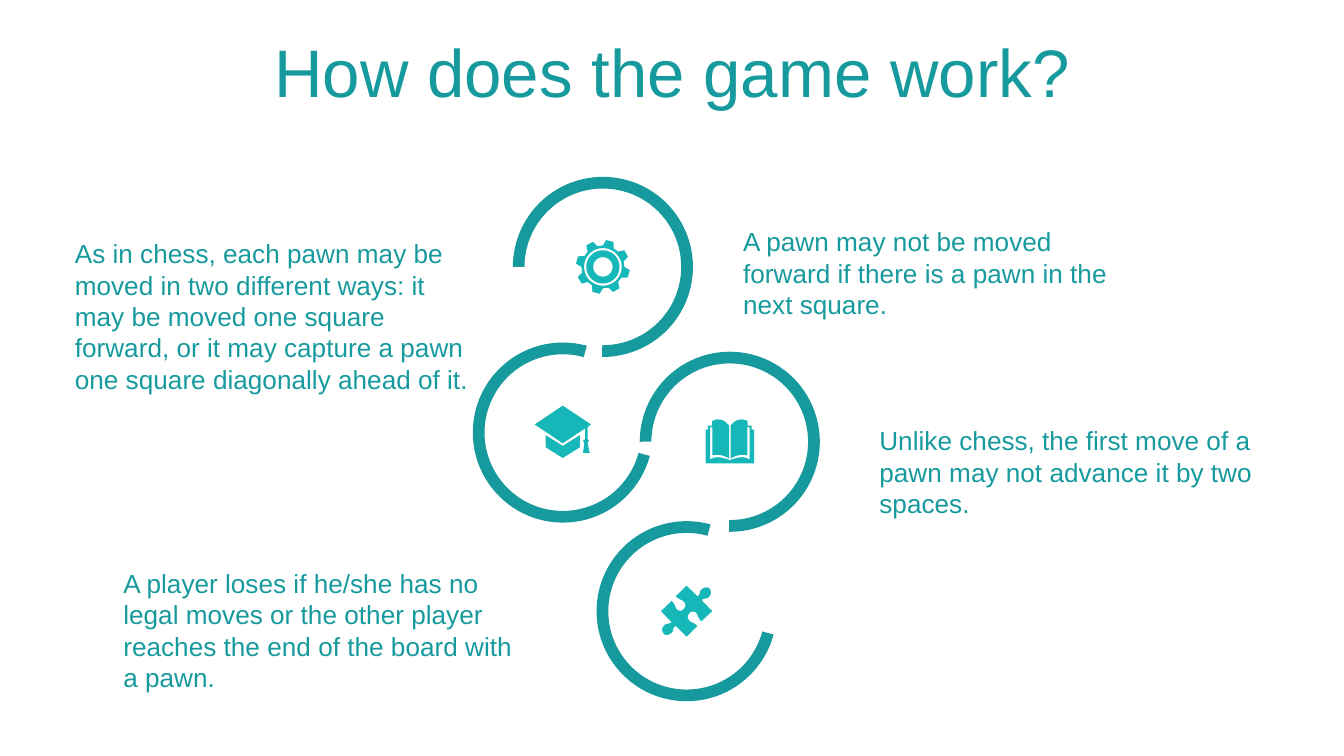
from math import cos, radians, sin

from pptx import Presentation
from pptx.dml.color import RGBColor
from pptx.enum.shapes import MSO_SHAPE
from pptx.enum.text import MSO_ANCHOR, MSO_AUTO_SIZE, PP_ALIGN
from pptx.util import Pt

ARC = MSO_SHAPE.BLOCK_ARC
MIDDLE, TOP = MSO_ANCHOR.MIDDLE, MSO_ANCHOR.TOP
CENTER, LEFT = PP_ALIGN.CENTER, PP_ALIGN.LEFT
GROW, FIXED = MSO_AUTO_SIZE.SHAPE_TO_FIT_TEXT, MSO_AUTO_SIZE.NONE

FONT = "Arial"
TEAL, AQUA = "179A9D", "16B7B8"
RING = 96.5

# Outlines in points around the icon centre: pairs are corners, sixes are curves.
BOARD = [(0, -14.4), (15.1, -4.3), (13.3, -2.9), (13.3, 3.6), (14, 4.3),
         (13.3, 5.8), (14.4, 11), (10.8, 11), (11.5, 5.8), (10.9, 4.3),
         (12, 3.6), (12, -2.2), (0, 5.8), (-15.1, -4.3)]
CROWN = [(-9.2, 1.4), (0, 7.2), (9.2, 1.4), (9.2, 7.9), (0, 13.7), (-9.2, 7.9)]
PAGE = [(0, 11.5), (13, 11.5), (13, -6.5), (11.7, -6.5), (11.7, -8.6),
        (9.5, -8.6), (9.5, -11.2), (8.6, -11.5, 7.2, -12, 6.5, -12),
        (3.6, -12, 2.2, -10.8, 0.4, -8.6), (0.4, 9),
        (2.9, 7.2, 6.5, 6.5, 9.4, 7.2), (9.4, -7.9), (10.6, -7.9),
        (10.6, 9.4), (6.5, 7.2, 4.3, 8.6, 0.4, 9.6), (0, 10.1)]
PIECE = [(8, -6), (13.7, 0), (8, 5.4), (5.8, 3.6, 6.5, 2.2, 5, 0.7),
         (3.6, 0, 2.2, 0, 1.4, 1.4), (0.7, 2.2, 0, 3.6, 1.4, 5),
         (2.9, 6.5, 3.6, 5.8, 5.8, 7.9), (0, 13.7), (-5.8, 7.9),
         (-7.9, 9.4, -6.5, 10.1, -7.9, 11.5),
         (-9.4, 13, -11.5, 13, -12.2, 12.2),
         (-13, 10.8, -13.7, 9.4, -12.2, 7.9), (-11.5, 6.5, -10, 7.2, -8, 6)]

NOTES = [
    (33, 123.8, 92, ["As in chess, each pawn may be",
                     "moved in two different ways: it may be moved one square "
                     "forward, or it may capture a pawn one square diagonally "
                     "ahead of it."]),
    (391, 117.4, 58, ["A pawn may not be moved forward if there is a pawn in "
                      "the next square."]),
    (464, 224, 58, ["Unlike chess, the first move of a pawn may not advance "
                    "it by two spaces."]),
    (59, 300.4, 75, ["A player loses if he/she has no legal moves or the other "
                     "player reaches the end of the board with a pawn."]),
]


def color(code):
    return RGBColor.from_string(code)


def write(shape, lines, size=14, align=LEFT, anchor=TOP, fit=GROW):
    frame = shape.text_frame
    frame.word_wrap = True
    frame.auto_size = fit
    frame.vertical_anchor = anchor
    frame.text = "\n".join(lines)
    for para in frame.paragraphs:
        para.alignment = align
        font = para.runs[0].font
        font.name, font.size = FONT, Pt(size)
        font.color.rgb = color(TEAL)


def place(shape, left, top, width, height):
    shape.left, shape.top = Pt(left), Pt(top)
    shape.width, shape.height = Pt(width), Pt(height)


def paint(shape, code):
    shape.shadow.inherit = False
    shape.fill.solid()
    shape.fill.fore_color.rgb = color(code)
    shape.line.fill.background()


def polar(radius, angle):
    """Point at an angle in degrees, clockwise from the top."""
    turn = radians(angle)
    return radius * sin(turn), -radius * cos(turn)


def circle(radius):
    return [polar(radius, angle) for angle in range(0, 360, 6)]


def trace(path, steps=6):
    """Turn corners and Bezier curves into a list of points."""
    points = []
    for part in path:
        if len(part) == 2:
            points.append(part)
            continue
        knots = [points[-1], part[:2], part[2:4], part[4:]]
        for step in range(1, steps + 1):
            t = step / steps
            parts = ((1 - t) ** 3, 3 * t * (1 - t) ** 2,
                     3 * t * t * (1 - t), t ** 3)
            points.append(tuple(sum(w * k[axis] for w, k in zip(parts, knots))
                                for axis in (0, 1)))
    return points


def gear():
    teeth = [polar(radius, 15 + 45 * tooth + turn) for tooth in range(8)
             for radius, turn in ((11.5, -15), (14.5, -8), (14.5, 8), (11.5, 15))]
    return [teeth, circle(10.1), circle(8.9), circle(5.2)]


def book():
    half = trace(PAGE)
    return [half + [(-x, y) for x, y in reversed(half)]]


def puzzle():
    half = trace(PIECE)
    return [half + [(-x, -y) for x, y in half]]


def add_ring(slide, x, y, turn):
    ring = slide.shapes.add_shape(ARC, Pt(x - RING / 2), Pt(y - RING / 2),
                                  Pt(RING), Pt(RING))
    ring.rotation = turn
    for index, value in enumerate((108, 54.26, 0.065)):
        ring.adjustments[index] = value
    paint(ring, TEAL)


def add_icon(slide, x, y, loops):
    pen = None
    for loop in loops:
        first, *rest = [(Pt(x + dx), Pt(y + dy)) for dx, dy in loop]
        if pen is None:
            pen = slide.shapes.build_freeform(*first)
        else:
            pen.move_to(*first)
        pen.add_line_segments(rest, close=True)
    paint(pen.convert_to_shape(), AQUA)


def add_note(slide, left, top, height, lines):
    box = slide.shapes.add_textbox(Pt(left), Pt(top), Pt(229.7), Pt(height))
    write(box, lines)


def main():
    deck = Presentation()
    deck.slide_width, deck.slide_height = Pt(720), Pt(405)
    slide = deck.slides.add_slide(deck.slide_layouts[5])

    title = slide.shapes.title
    place(title, 0, 15, 720, 45.4)
    write(title, ["How does the game work?"], size=36, align=CENTER,
          anchor=MIDDLE, fit=FIXED)

    stops = [(323, 143, 0, gear()), (301.5, 231.7, 195, [BOARD, CROWN]),
             (391, 236.7, 0, book()), (367.8, 327.4, 195, puzzle())]
    for x, y, turn, loops in stops:
        add_ring(slide, x, y, turn)
        add_icon(slide, x, y, loops)

    for note in NOTES:
        add_note(slide, *note)
    deck.save("out.pptx")


if __name__ == "__main__":
    main()
